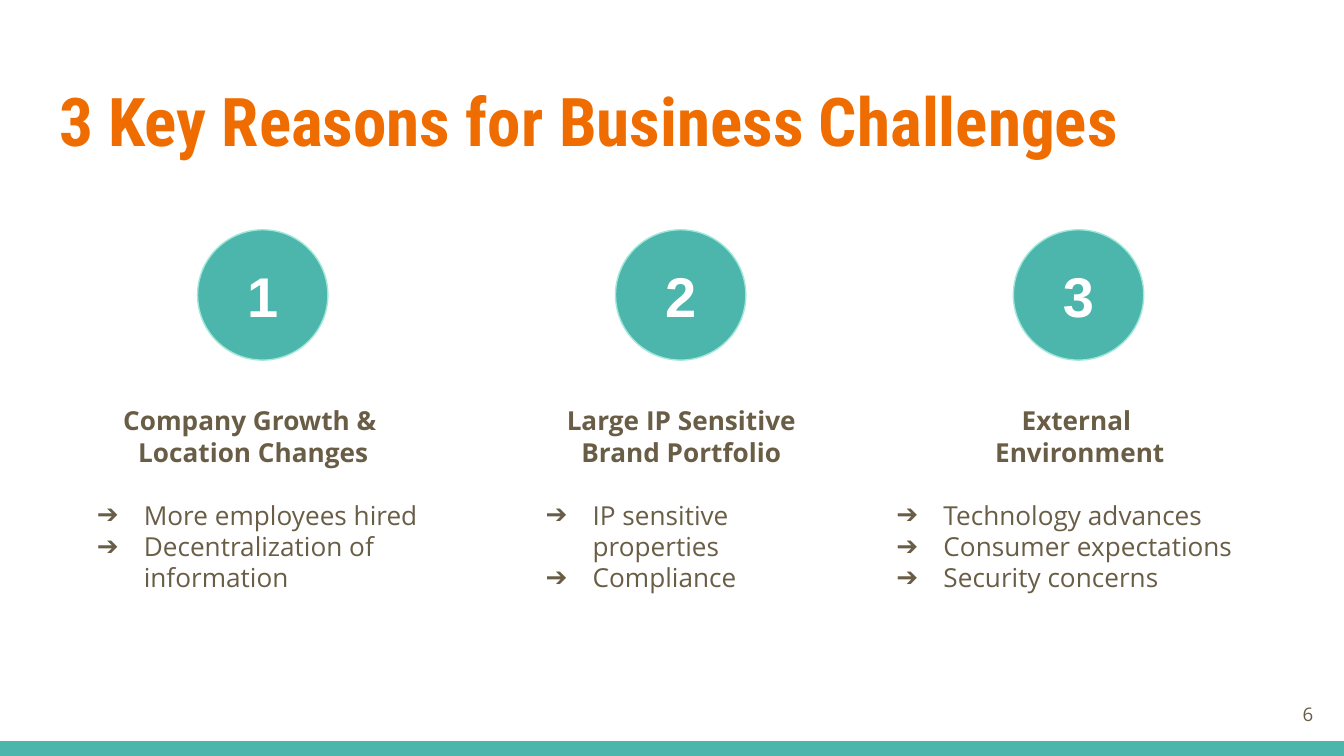
from dataclasses import dataclass
from lxml.etree import SubElement
from pptx import Presentation
from pptx.dml.color import RGBColor
from pptx.enum.shapes import MSO_SHAPE
from pptx.enum.text import MSO_ANCHOR, MSO_AUTO_SIZE, PP_ALIGN
from pptx.oxml.ns import qn
from pptx.util import Inches, Pt


@dataclass(frozen=True)
class Theme:
    """Colours, fonts and type sizes of the deck."""
    teal: str = "4DB6AC"
    mint: str = "A1E8D9"
    orange: str = "EF6C00"
    brown: str = "695D46"
    white: str = "FFFFFF"
    head_font: str = "Roboto Condensed"
    body_font: str = "Open Sans"
    badge_font: str = "Arial"
    title: int = 36
    badge: int = 30
    body: int = 14
    small: int = 10


def rgb(value):
    """Turn a hex string into a colour."""
    return RGBColor.from_string(value)


def write(p, text, font, size, color, bold=False, align=PP_ALIGN.LEFT, before=0):
    """Put formatted text into a paragraph."""
    p.alignment, p.line_spacing = align, 1.0
    p.space_before, p.space_after = Pt(before), Pt(0)
    r = p.add_run()
    r.text = text
    r.font.name, r.font.size, r.font.bold = font, Pt(size), bold
    r.font.color.rgb = rgb(color)


def set_bullet(p, char=None, color=None, left=0.0, hanging=0.0):
    """Give a paragraph an arrow bullet, or none."""
    pPr = p._p.get_or_add_pPr()
    pPr.set("marL", str(Inches(left)))
    pPr.set("indent", str(Inches(-hanging)))
    if char is None:
        SubElement(pPr, qn("a:buNone"))
        return
    SubElement(SubElement(pPr, qn("a:buClr")), qn("a:srgbClr")).set("val", color)
    SubElement(pPr, qn("a:buChar")).set("char", char)


class Deck:
    """Holds the theme and the current slide."""

    def __init__(self, theme, width, height):
        """Start a presentation with one slide."""
        self.t = theme
        self.prs = Presentation()
        self.prs.slide_width, self.prs.slide_height = Inches(width), Inches(height)
        self.s = self.prs.slides.add_slide(self.prs.slide_layouts[4])

    def place(self, sp, left, top, width, height):
        """Move an element to a position in inches."""
        sp.left, sp.top, sp.width, sp.height = map(Inches, (left, top, width, height))

    def frame(self, sp, anchor=MSO_ANCHOR.TOP):
        """Set up the text frame of an element."""
        tf = sp.text_frame
        tf.word_wrap, tf.auto_size, tf.vertical_anchor = True, MSO_AUTO_SIZE.NONE, anchor
        tf.margin_left = tf.margin_right = tf.margin_top = tf.margin_bottom = Inches(0.1)
        return tf

    def title(self, text, *box):
        """Fill the title placeholder."""
        sp = self.s.shapes.title
        self.place(sp, *box)
        write(self.frame(sp).paragraphs[0], text, self.t.head_font, self.t.title,
              self.t.orange, bold=True)

    def shape(self, kind, *box, line=None):
        """Add a teal shape."""
        sp = self.s.shapes.add_shape(kind, *map(Inches, box))
        sp.shadow.inherit = False
        sp.fill.solid()
        sp.fill.fore_color.rgb = rgb(self.t.teal)
        if line:
            sp.line.color.rgb, sp.line.width = rgb(line), Pt(0.75)
        else:
            sp.line.fill.background()
        return sp

    def badge(self, text, left, top, size):
        """Add a numbered circle."""
        sp = self.shape(MSO_SHAPE.OVAL, left, top, size, size, line=self.t.mint)
        write(self.frame(sp, MSO_ANCHOR.MIDDLE).paragraphs[0], text, self.t.badge_font,
              self.t.badge, self.t.white, bold=True, align=PP_ALIGN.CENTER)

    def reasons(self, idx, heading, points, *box):
        """Fill a body placeholder with a heading and an arrow list."""
        sp = self.s.placeholders[idx]
        self.place(sp, *box)
        tf = self.frame(sp)
        for i, text in enumerate(heading + points):
            p = tf.paragraphs[0] if i == 0 else tf.add_paragraph()
            is_head = i < len(heading)
            write(p, text, self.t.body_font, self.t.body, self.t.brown, bold=is_head,
                  align=PP_ALIGN.CENTER if is_head else PP_ALIGN.LEFT,
                  before=17 if i == len(heading) else 0)
            if is_head:
                set_bullet(p)
            else:
                set_bullet(p, "➔", self.t.brown, 0.5, 0.35)

    def page_number(self, text, *box):
        """Add the page number."""
        sp = self.s.shapes.add_textbox(*map(Inches, box))
        write(self.frame(sp, MSO_ANCHOR.MIDDLE).paragraphs[0], text, self.t.body_font,
              self.t.small, self.t.brown, align=PP_ALIGN.RIGHT)

    def save(self):
        """Drop empty placeholders and save the file."""
        for sp in list(self.s.placeholders):
            if not sp.text_frame.text:
                sp.element.getparent().remove(sp.element)
        self.prs.save("out.pptx")


REASONS = [
    (1.47, 0.47, 2.83, ["Company Growth & ", "Location Changes"],
     ["More employees hired", "Decentralization of information"]),
    (4.58, 3.81, 2.52, ["Large IP Sensitive Brand Portfolio"],
     ["IP sensitive properties", "Compliance"]),
    (7.54, 6.42, 3.23, ["External ", "Environment"],
     ["Technology advances", "Consumer expectations", "Security concerns"]),
]

WIDTH = 10
HEIGHT = WIDTH * 9 / 16

deck = Deck(Theme(), WIDTH, HEIGHT)
deck.shape(MSO_SHAPE.RECTANGLE, 0, HEIGHT - 0.11, WIDTH, 0.11)
deck.title("3 Key Reasons for Business Challenges", 0.34, 0.49, 9.32, 0.77)
for n, (badge_left, left, width, heading, points) in enumerate(REASONS, 1):
    deck.badge(str(n), badge_left, 1.71, 0.97)
    deck.reasons(n, heading, points, left, 2.91, width, 1.56)
deck.page_number("6", 9.27, 5.1, 0.6, 0.43)
deck.save()
